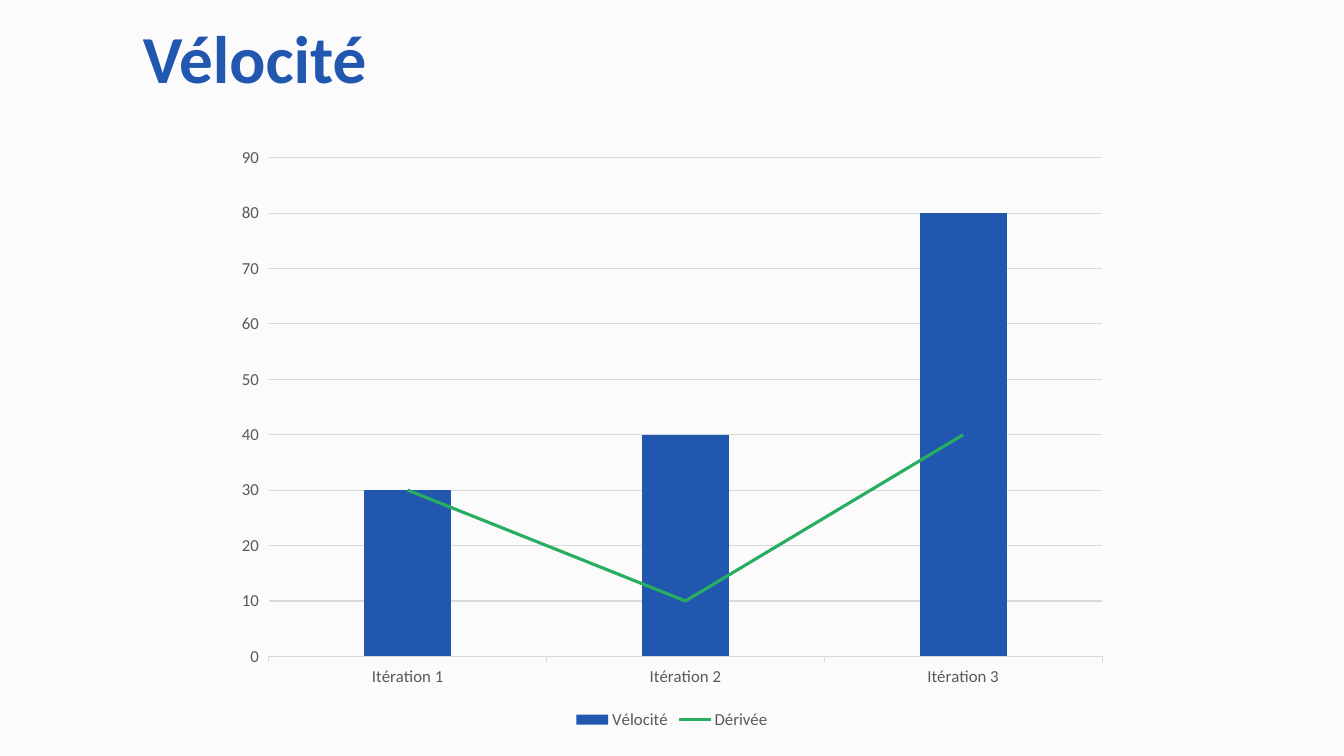
"""Build the velocity slide: a title above a combined column and line chart."""
from dataclasses import dataclass

import pptx
import pptx.chart.chart
import pptx.chart.data
import pptx.dml.color
import pptx.dml.line
import pptx.enum.chart
import pptx.enum.text
import pptx.oxml
import pptx.oxml.ns
import pptx.slide
import pptx.text.text
import pptx.util

RGBColor = pptx.dml.color.RGBColor
Pt = pptx.util.Pt

BACKGROUND = RGBColor(0xFB, 0xFB, 0xFB)
BLUE = RGBColor(0x21, 0x57, 0xAE)
GREEN = RGBColor(0x27, 0xAE, 0x60)
LABEL_GREY = RGBColor(0x59, 0x59, 0x59)
GRID_GREY = RGBColor(0xD9, 0xD9, 0xD9)
FONT = "Calibri"


@dataclass(frozen=True)
class Box:
    left: float
    top: float
    width: float
    height: float

    def in_points(self) -> tuple[Pt, Pt, Pt, Pt]:
        return Pt(self.left), Pt(self.top), Pt(self.width), Pt(self.height)


@dataclass(frozen=True)
class Measure:
    name: str
    values: tuple[int, ...]


ITERATIONS = tuple(f"Itération {number}" for number in range(1, 4))
MEASURES = (Measure("Vélocité", (30, 40, 80)), Measure("Dérivée", (30, 10, 40)))


def style_font(font: pptx.text.text.Font, size: float, color: RGBColor, bold: bool = False) -> None:
    font.name = FONT
    font.size = Pt(size)
    font.bold = bold
    font.color.rgb = color


def style_line(line: pptx.dml.line.LineFormat, color: RGBColor, width: float) -> None:
    line.color.rgb = color
    line.width = Pt(width)


def add_text(slide: pptx.slide.Slide, text: str, box: Box, *, size: float, color: RGBColor,
             bold: bool = False, line_spacing: float = 1.0) -> None:
    frame = slide.shapes.add_textbox(*box.in_points()).text_frame
    frame.word_wrap = True
    frame.vertical_anchor = pptx.enum.text.MSO_ANCHOR.MIDDLE
    paragraph = frame.paragraphs[0]
    paragraph.line_spacing = line_spacing
    run = paragraph.add_run()
    run.text = text
    style_font(run.font, size, color, bold)


def move_last_series_to_line(chart: pptx.chart.chart.Chart) -> None:
    qn = pptx.oxml.ns.qn
    namespace = pptx.oxml.ns.nsdecls("c")
    bar_chart = next(chart.element.iter(qn("c:barChart")))
    line_chart = pptx.oxml.parse_xml(
        f'<c:lineChart {namespace}><c:grouping val="standard"/>'
        '<c:varyColors val="0"/><c:marker val="1"/></c:lineChart>')
    series = bar_chart.findall(qn("c:ser"))[-1]
    for bar_option in series.findall(qn("c:invertIfNegative")):
        series.remove(bar_option)
    line_chart.insert(2, series)
    for axis_id in bar_chart.findall(qn("c:axId")):
        line_chart.append(pptx.oxml.parse_xml(
            f'<c:axId {namespace} val="{axis_id.get("val")}"/>'))
    bar_chart.addnext(line_chart)


def style_axes(chart: pptx.chart.chart.Chart) -> None:
    category_axis, value_axis = chart.category_axis, chart.value_axis
    for axis in (category_axis, value_axis):
        style_font(axis.tick_labels.font, 12, LABEL_GREY)
    style_line(category_axis.format.line, GRID_GREY, 0.75)
    value_axis.format.line.fill.background()
    value_axis.minimum_scale, value_axis.maximum_scale = 0, 90
    value_axis.major_unit = 10
    value_axis.has_major_gridlines = True
    style_line(value_axis.major_gridlines.format.line, GRID_GREY, 0.75)


def add_velocity_chart(slide: pptx.slide.Slide, box: Box) -> None:
    data = pptx.chart.data.CategoryChartData()
    data.categories = ITERATIONS
    for measure in MEASURES:
        data.add_series(measure.name, measure.values)
    chart = slide.shapes.add_chart(
        pptx.enum.chart.XL_CHART_TYPE.COLUMN_CLUSTERED, *box.in_points(), data).chart
    chart.has_title = False
    chart.font.name = FONT
    chart.font.size = Pt(10)
    move_last_series_to_line(chart)
    style_axes(chart)

    columns, curve = chart.plots
    columns.gap_width = 219
    columns.vary_by_categories = False
    column_fill = columns.series[0].format.fill
    column_fill.solid()
    column_fill.fore_color.rgb = BLUE
    derivative = curve.series[0]
    derivative.smooth = False
    derivative.marker.style = pptx.enum.chart.XL_MARKER_STYLE.NONE
    style_line(derivative.format.line, GREEN, 2.25)

    chart.has_legend = True
    chart.legend.position = pptx.enum.chart.XL_LEGEND_POSITION.BOTTOM
    chart.legend.include_in_layout = False
    style_font(chart.legend.font, 12, LABEL_GREY)


def main() -> None:
    presentation = pptx.Presentation()
    presentation.slide_width, presentation.slide_height = Pt(960), Pt(540)
    slide = presentation.slides.add_slide(presentation.slide_layouts[6])
    slide.background.fill.solid()
    slide.background.fill.fore_color.rgb = BACKGROUND
    add_velocity_chart(slide, Box(160, 97, 640, 427))
    add_text(slide, "Vélocité", Box(95, 0, 865, 88.5), size=48, color=BLUE, bold=True,
             line_spacing=0.9)
    presentation.save("out.pptx")


if __name__ == "__main__":
    main()
